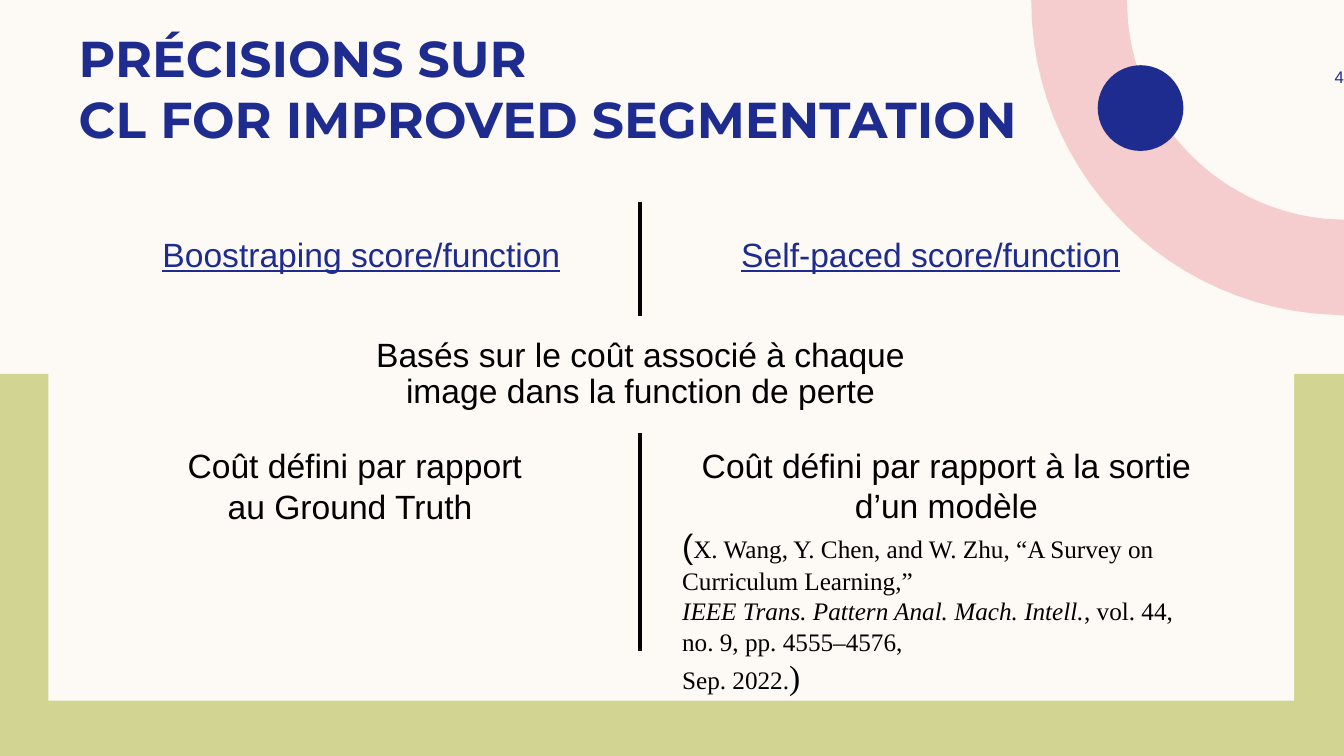
from lxml import etree
from pptx import Presentation
from pptx.dml.color import RGBColor
from pptx.enum.shapes import MSO_CONNECTOR, MSO_SHAPE
from pptx.enum.text import MSO_ANCHOR, MSO_AUTO_SIZE, PP_ALIGN
from pptx.oxml.ns import qn
from pptx.util import Pt

RECTANGLE, OVAL = MSO_SHAPE.RECTANGLE, MSO_SHAPE.OVAL
STRAIGHT = MSO_CONNECTOR.STRAIGHT
LEFT, CENTER, RIGHT = PP_ALIGN.LEFT, PP_ALIGN.CENTER, PP_ALIGN.RIGHT
TOP, MIDDLE = MSO_ANCHOR.TOP, MSO_ANCHOR.MIDDLE
FIXED_SIZE = MSO_AUTO_SIZE.NONE

COLORS = {"paper": "FDFAF6", "olive": "D2D592", "pink": "F5CDCE",
          "navy": "1F2C8F", "black": "000000"}
TITLE_ONLY = 5
CURVE_STEPS = 24


def rgb(name):
    return RGBColor.from_string(COLORS[name])


def bezier(start, control1, control2, end):
    """Return points along a cubic curve, without its start."""
    points = []
    for step in range(1, CURVE_STEPS + 1):
        t = step / CURVE_STEPS
        weights = ((1 - t) ** 3, 3 * t * (1 - t) ** 2, 3 * t ** 2 * (1 - t), t ** 3)
        corners = (start, control1, control2, end)
        points.append(tuple(sum(w * c[axis] for w, c in zip(weights, corners))
                            for axis in (0, 1)))
    return points


class SlideBuilder:
    body = {"name": "Arial", "size": Pt(24), "color": "black"}

    def __init__(self, deck):
        self.page = deck.slides.add_slide(deck.slide_layouts[TITLE_ONLY])
        self.set_fill(self.page.background.fill, "paper")

    def set_fill(self, fill, color):
        fill.solid()
        fill.fore_color.rgb = rgb(color)

    def finish(self, shape, color):
        self.set_fill(shape.fill, color)
        shape.line.fill.background()
        shape.shadow.inherit = False

    def shape(self, kind, area, color):
        self.finish(self.page.shapes.add_shape(kind, *map(Pt, area)), color)

    def outline(self, points, color):
        corners = [(Pt(x), Pt(y)) for x, y in points]
        builder = self.page.shapes.build_freeform(*corners[0])
        builder.add_line_segments(corners[1:], close=True)
        self.finish(builder.convert_to_shape(), color)

    def divider(self, x, top, bottom):
        line = self.page.shapes.add_connector(STRAIGHT, Pt(x), Pt(top), Pt(x), Pt(bottom))
        line.line.color.rgb = rgb("black")
        line.line.width = Pt(3)
        etree.SubElement(line._element.spPr, qn("a:effectLst"))

    def fill_text(self, box, paragraphs, align, anchor, insets, spacing=None):
        """Fill a box; each paragraph is a list of (text, format) spans."""
        frame = box.text_frame
        settings = {"word_wrap": True, "auto_size": FIXED_SIZE, "vertical_anchor": anchor}
        sides = ("margin_left", "margin_top", "margin_right", "margin_bottom")
        settings.update(zip(sides, map(Pt, insets)))
        for name, value in settings.items():
            setattr(frame, name, value)
        for index, spans in enumerate(paragraphs):
            para = frame.add_paragraph() if index else frame.paragraphs[0]
            para.alignment = LEFT if index else align
            para.line_spacing = spacing
            for text, style in spans:
                for number, part in enumerate(text.split("\n")):
                    if number:
                        para.add_line_break()
                    span = para.add_run()
                    span.text = part
                    self.format_font(span.font, {**self.body, **style})

    def format_font(self, font, style):
        for name, value in style.items():
            if name == "color":
                font.color.rgb = rgb(value)
            else:
                setattr(font, name, value)

    def text(self, area, paragraphs, align=CENTER, anchor=TOP,
             insets=(7.2, 3.6, 7.2, 3.6), spacing=None):
        box = self.page.shapes.add_textbox(*map(Pt, area))
        self.fill_text(box, paragraphs, align, anchor, insets, spacing)

    def title(self, area, text, style):
        title = self.page.shapes.title
        for name, value in zip(("left", "top", "width", "height"), area):
            setattr(title, name, Pt(value))
        self.fill_text(title, [[(text, style)]], LEFT, MIDDLE, (7.2, 0, 7.2, 0), 1.0)
        # The title has to lie above the background shapes.
        title._element.getparent().append(title._element)


def main():
    deck = Presentation()
    deck.slide_width, deck.slide_height = Pt(960), Pt(540)
    slide = SlideBuilder(deck)

    slide.shape(RECTANGLE, (0, 267.1, 960, 272.9), "olive")
    slide.shape(RECTANGLE, (34.6, 25.9, 889.9, 474.5), "paper")
    outer_arc = bezier((736.6, 0.7), (736.6, 116.6), (825.1, 212.4), (938.2, 223.9))
    inner_arc = bezier((945.4, 156.2), (871.2, 148.3), (812.9, 89.3), (805.7, 15.8))
    slide.outline([(805, 0), (736.6, 0), (736.6, 0.7), *outer_arc, (960, 225.4),
                   (960, 157), (945.4, 156.2), *inner_arc], "pink")
    core_arc = bezier((881.3, 7.9), (885.6, 45.4), (915.1, 75.6), (952.6, 79.2))
    slide.outline([(960, 0), (881.3, 0), (881.3, 7.9), *core_arc, (960, 79.9)], "paper")
    slide.shape(OVAL, (784.1, 46.6, 61.2, 61.2), "navy")

    slide.title((49, 10.1, 732.2, 105.1),
                "PRÉCISIONS SUR\nCL FOR IMPROVED SEGMENTATION",
                {"name": "Montserrat", "size": Pt(36), "bold": True, "color": "navy"})
    slide.text((882, 36, 78, 37.4), [[("4", {"size": Pt(12), "color": "navy"})]],
               RIGHT, MIDDLE, (7.2, 3.6, 0, 3.6))

    heading = {"color": "navy", "underline": True}
    for left, width, label in ((67.7, 380.9, "Boostraping score/function"),
                               (447.8, 434.2, "Self-paced score/function")):
        slide.text((left, 163.4, width, 124.6), [[(label, heading)]])
    slide.text((246.2, 238.3, 422.6, 64.1),
               [[("Basés sur le coût associé à chaque image dans la function de perte", {})]],
               spacing=0.9)
    slide.text((116.6, 314.6, 273.6, 65.5),
               [[("Coût défini par rapport au Ground Truth ", {})]])
    for top, bottom in ((144, 225.4), (309.6, 465.1)):
        slide.divider(457.2, top, bottom)

    serif = {"name": "Times New Roman"}
    cite = {**serif, "size": Pt(18)}
    slide.text((480.2, 313.9, 391.7, 189.4), [
        [("Coût défini par rapport à la sortie d’un modèle", {})],
        [("(", {}),
         ("X. Wang, Y. Chen, and W. Zhu, “A Survey on Curriculum Learning,”", cite)],
        [("IEEE Trans. Pattern Anal. Mach. Intell.", {**cite, "italic": True}),
         (", vol. 44, no. 9, pp. 4555–4576,", cite)],
        [("Sep. 2022.", cite), (")", serif)],
    ])
    deck.save("out.pptx")


if __name__ == "__main__":
    main()
